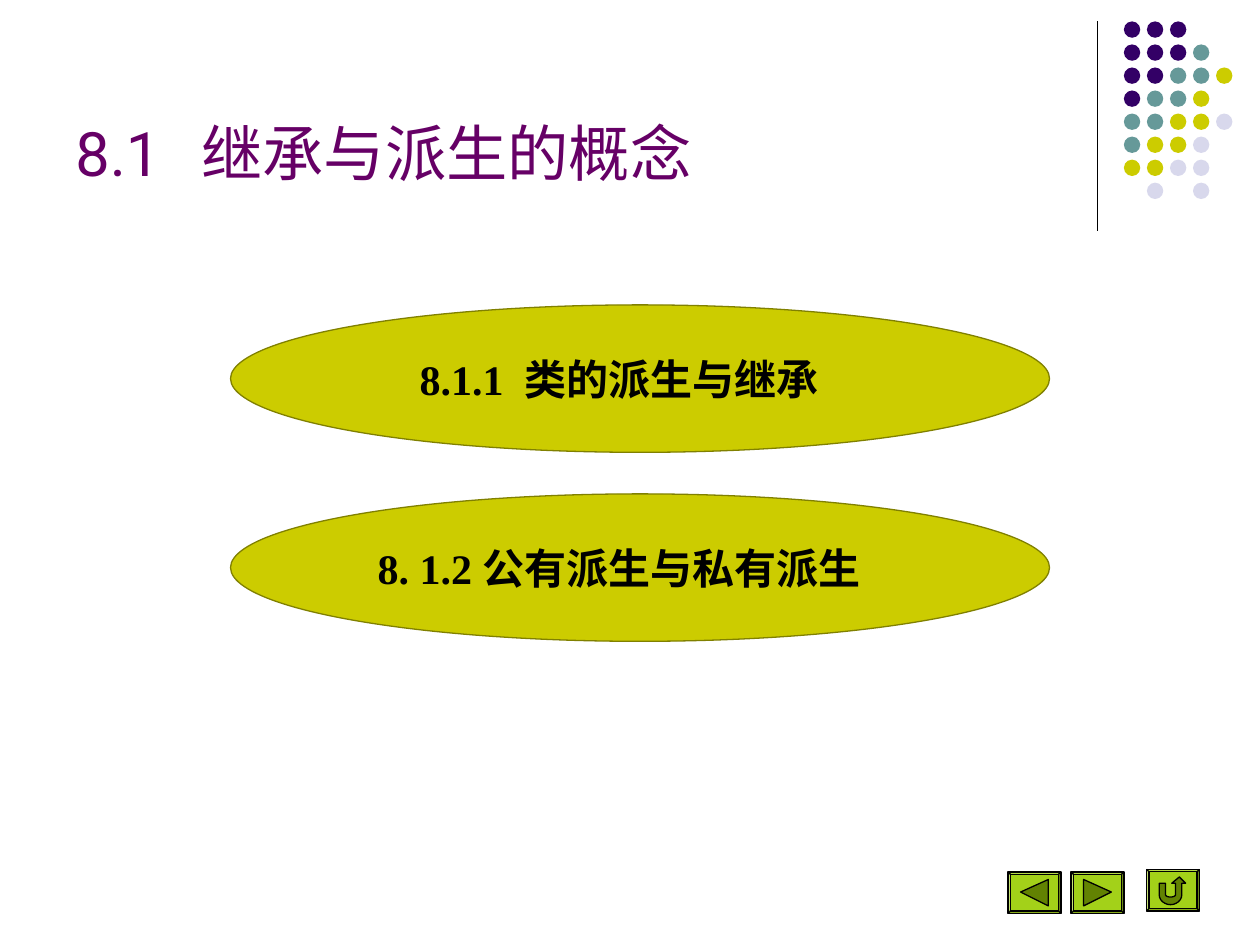
from math import cos, pi, sin

from lxml.etree import SubElement
from pptx import Presentation
from pptx.dml.color import RGBColor
from pptx.enum.shapes import MSO_CONNECTOR, MSO_SHAPE
from pptx.enum.text import MSO_ANCHOR, PP_ALIGN
from pptx.oxml.ns import qn
from pptx.util import Inches, Pt

THEME = {
    "title": "660066", "ink": "000000", "topic": "CCCC00", "topic_edge": "808000",
    "button": "99CC00", "icon": "5C7A00",
    "title_font": "Roboto", "body_font": "Times New Roman",
    "title_size": 35, "topic_size": 24, "line_width": 0.75,
}
DOT_COLOURS = {"P": "330066", "T": "669999", "Y": "CCCC00", "L": "D8D8EC"}
DOT_ROWS = ["PPP", "PPPT", "PPTTY", "PTTY", "TTYYL", "TYYL", "YYLL", " L L"]

TITLE = ("8.1\t", "继承与派生的概念")
# number, extra points after the gap, heading
TOPICS = [("8.1.1", 6, "类的派生与继承"), ("8. 1.2", 0, "公有派生与私有派生")]


def half_arc(radius_x, radius_y, start, end, centre=(0.19, 0.2), steps=12):
    """Points along an elliptical arc, with angles in half turns."""
    angles = [pi * (start + (end - start) * i / steps) for i in range(steps + 1)]
    return [(centre[0] + radius_x * cos(a), centre[1] + radius_y * sin(a)) for a in angles]


BACK = [(0.1, 0.16), (0.32, 0.06), (0.32, 0.27)]
FORWARD = [(0.1, 0.06), (0.32, 0.16), (0.1, 0.27)]
RETURN = [(0.1, 0.11), (0.15, 0.11), *half_arc(0.04, 0.02, 1, 0),
          (0.23, 0.11), (0.2, 0.11), (0.26, 0.06), (0.31, 0.11), (0.28, 0.11),
          *half_arc(0.09, 0.08, 0, 1)]
BUTTONS = [(8, 6.92, BACK), (8.5, 6.92, FORWARD), (9.1, 6.9, RETURN)]


def paint(shape, fill, line=None, opacity=None):
    shape.shadow.inherit = False
    shape.fill.solid()
    shape.fill.fore_color.rgb = RGBColor.from_string(fill)
    if opacity:
        colour = shape._element.spPr.find(qn("a:solidFill"))[0]
        SubElement(colour, qn("a:alpha")).set("val", str(opacity * 1000))
    if line:
        shape.line.color.rgb = RGBColor.from_string(line)
        shape.line.width = Pt(THEME["line_width"])
    else:
        shape.line.fill.background()


def add_preset(page, kind, left, top, width, height, **paint_options):
    shape = page.shapes.add_shape(kind, Inches(left), Inches(top), Inches(width), Inches(height))
    paint(shape, **paint_options)
    return shape


def add_span(para, text, font, size, colour, bold=False, spacing=0):
    span = para.add_run()
    span.text = text
    span.font.name = font
    span.font.size = Pt(size)
    span.font.bold = bold
    span.font.color.rgb = RGBColor.from_string(colour)
    if spacing:
        span.font._element.set("spc", str(spacing * 100))


def add_title(page):
    box = page.shapes.add_textbox(Inches(0.5), Inches(0.13), Inches(8.25), Inches(1.42))
    frame = box.text_frame
    frame.word_wrap = True
    frame.vertical_anchor = MSO_ANCHOR.BOTTOM
    para = frame.paragraphs[0]
    tabs = SubElement(para._p.get_or_add_pPr(), qn("a:tabLst"))
    tab = SubElement(tabs, qn("a:tab"))
    tab.set("pos", str(Inches(1)))
    tab.set("algn", "l")
    for text, font in zip(TITLE, (THEME["title_font"], THEME["body_font"])):
        add_span(para, text, font, THEME["title_size"], THEME["title"])


def add_dots(page):
    rule = page.shapes.add_connector(
        MSO_CONNECTOR.STRAIGHT, Inches(8.71), Inches(0.17), Inches(8.71), Inches(1.83))
    rule.line.color.rgb = RGBColor.from_string(THEME["ink"])
    rule.line.width = Pt(THEME["line_width"])
    SubElement(rule._element.spPr, qn("a:effectLst"))
    pitch = 1.28 / 7
    for row, codes in enumerate(DOT_ROWS):
        for column, code in enumerate(codes):
            if code in DOT_COLOURS:
                add_preset(page, MSO_SHAPE.OVAL, 8.92 + column * pitch, 0.17 + row * pitch,
                           0.13, 0.13, fill=DOT_COLOURS[code])


def add_topics(page):
    for index, (number, gap, heading) in enumerate(TOPICS):
        oval = add_preset(page, MSO_SHAPE.OVAL, 1.83, 2.42 + index * 1.5, 6.5, 1.17,
                          fill=THEME["topic"], line=THEME["topic_edge"])
        frame = oval.text_frame
        frame.word_wrap = True
        frame.vertical_anchor = MSO_ANCHOR.MIDDLE
        frame.margin_right = Inches(0.43)
        para = frame.paragraphs[0]
        para.alignment = PP_ALIGN.CENTER
        for text, spacing in ((number, 0), (" ", gap), (heading, 0)):
            add_span(para, text, THEME["body_font"], THEME["topic_size"], THEME["ink"],
                     bold=True, spacing=spacing)


def add_buttons(page):
    for left, top, icon in BUTTONS:
        frame = add_preset(page, MSO_SHAPE.BEVEL, left, top, 0.42, 0.33,
                           fill=THEME["button"], line=THEME["ink"], opacity=90)
        frame.adjustments[0] = 0.06
        points = [(Inches(left + x), Inches(top + y)) for x, y in icon]
        builder = page.shapes.build_freeform(*points[0])
        builder.add_line_segments(points[1:], close=True)
        paint(builder.convert_to_shape(), THEME["icon"], THEME["ink"], opacity=90)


def main():
    deck = Presentation()
    deck.slide_width, deck.slide_height = Inches(10), Inches(7.5)
    page = deck.slides.add_slide(deck.slide_layouts[6])
    add_dots(page)
    add_title(page)
    add_topics(page)
    add_buttons(page)
    deck.save("out.pptx")


if __name__ == "__main__":
    main()
